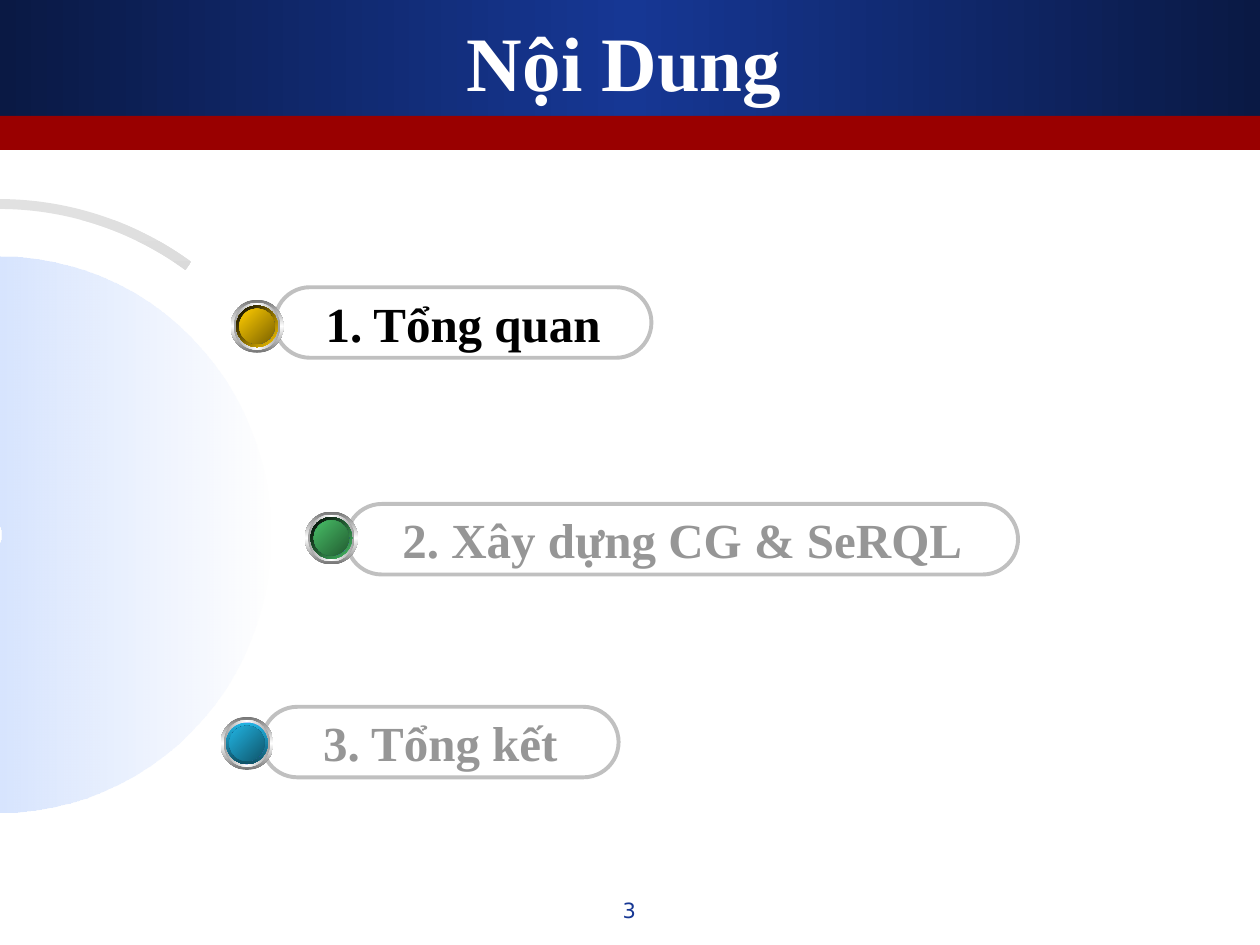
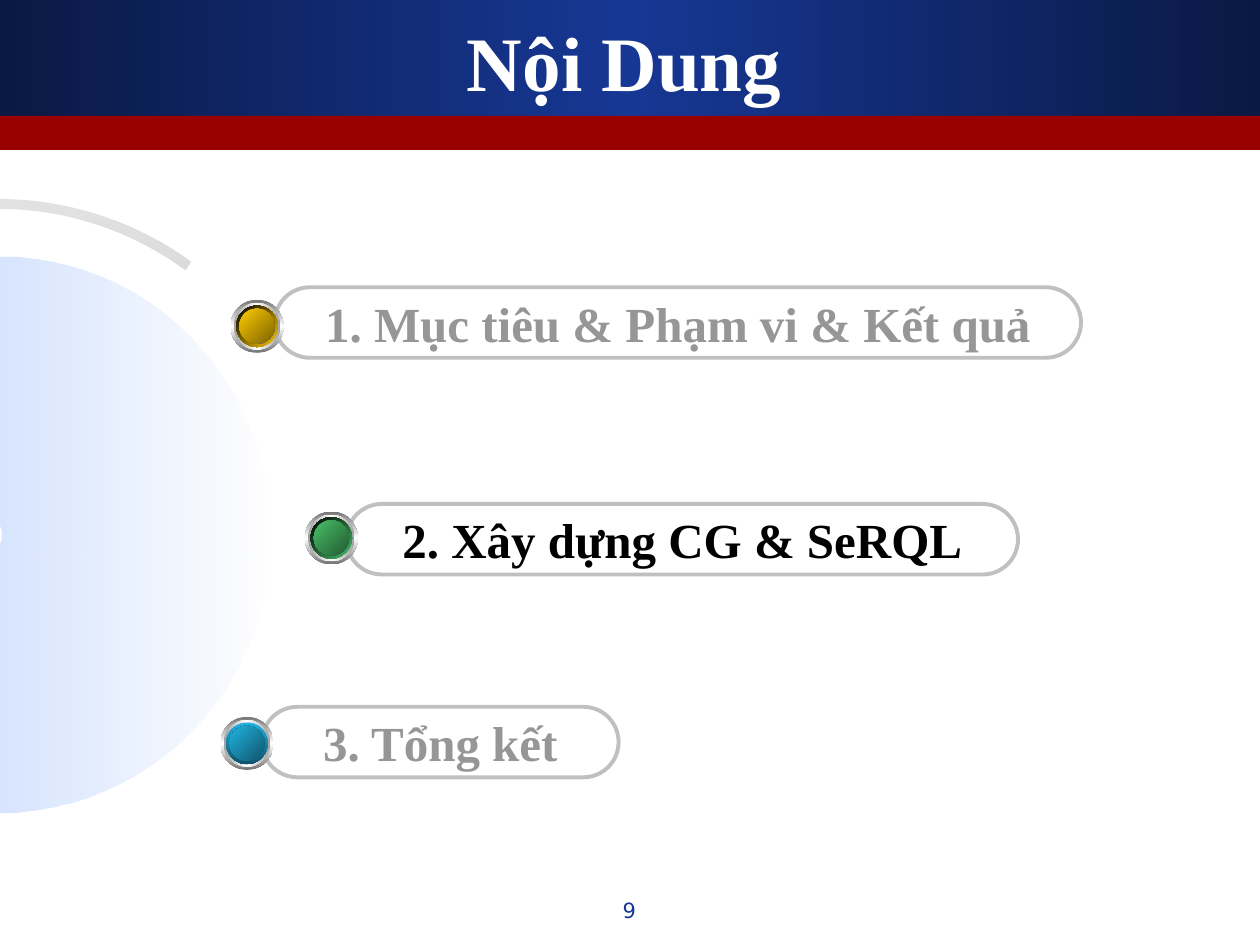
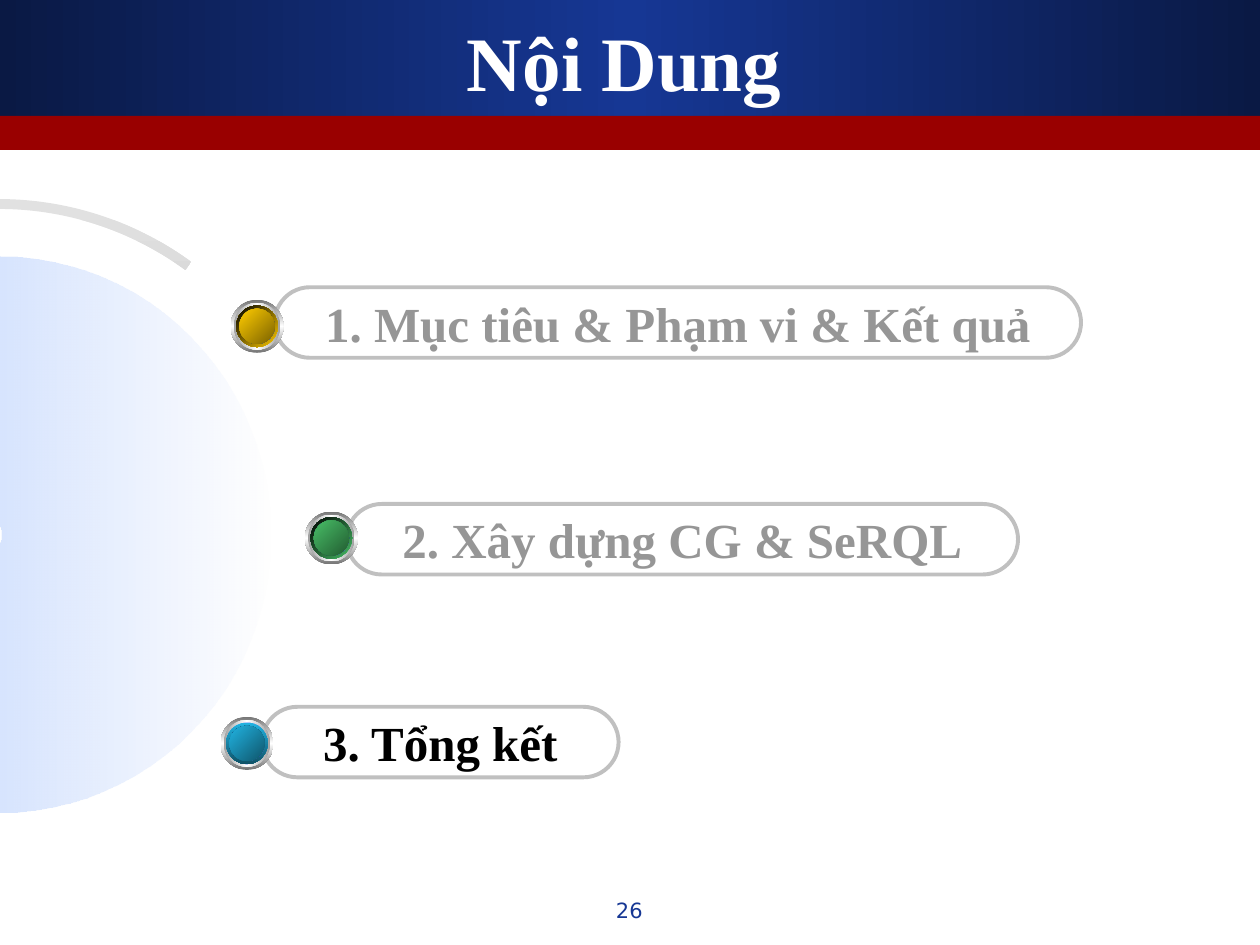
from dataclasses import dataclass

from pptx import Presentation
from pptx.dml.color import RGBColor
from pptx.enum.shapes import MSO_SHAPE as Shape
from pptx.enum.text import MSO_ANCHOR as Anchor, PP_ALIGN as Align
from pptx.oxml import parse_xml
from pptx.oxml.ns import nsdecls, qn
from pptx.util import Inches, Pt


@dataclass(frozen=True)
class Theme:
    heading_font: str = "Times New Roman"
    number_font: str = "DejaVu Sans"
    title_size: int = 44
    topic_size: int = 28
    number_size: int = 12
    white: str = "FFFFFF"
    navy: str = "163794"
    dark_navy: str = "0A1944"
    red: str = "990000"
    outline: str = "C0C0C0"
    arc_end: str = "E1E1E1"
    sky: str = "6699FF"
    deep_sky: str = "365289"
    pale: str = "FEFEFE"
    bezel: str = "757575"
    inner_bezel: str = "A1A1A1"
    active: str = "000000"
    inactive: str = "969696"


@dataclass(frozen=True)
class Topic:
    left: float
    top: float
    center: tuple
    rim: tuple
    rim_angle: int
    core: tuple


TOPICS = (
    Topic(2.18, 2.28, (2.04, 2.59), ("FFCC00", "000000"), 225, ("7B6200", "FFCC00")),
    Topic(2.75, 4.00, (2.63, 4.27), ("48BE67", "000000"), 225, ("225C31", "48BE67")),
    Topic(2.08, 5.61, (1.96, 5.90), ("21B3E1", "0F5267"), 90, ("0F566C", "21B3E1")),
)
GOALS = ("1. Mục tiêu & Phạm vi & Kết quả", 6.4)
BUILDING = ("2. Xây dựng CG & SeRQL", 5.33)
SUMMARY = ("3. Tổng kết", 2.83)
OVERVIEW = ("Tổng quan", 2.99)

AGENDAS = (
    (3, 0, (OVERVIEW, BUILDING, SUMMARY)),
    (9, 1, (GOALS, BUILDING, SUMMARY)),
    (26, 2, (GOALS, BUILDING, SUMMARY)),
)


class Deck:
    def __init__(self, theme):
        self.theme = theme
        self.presentation = Presentation()
        self.presentation.slide_width = Inches(10)
        self.presentation.slide_height = Inches(7.5)
        self.slide = None

    def add_slide(self):
        blank = self.presentation.slide_layouts[6]
        self.slide = self.presentation.slides.add_slide(blank)

    def shape(self, kind, box, fill=None, angle=0, parent=None):
        owner = parent or self.slide
        shape = owner.shapes.add_shape(kind, *map(Inches, box))
        shape.shadow.inherit = False
        shape.line.fill.background()
        if isinstance(fill, str):
            shape.fill.solid()
            shape.fill.fore_color.rgb = RGBColor.from_string(fill)
        else:
            shape.fill.background()
            if fill:
                self.gradient(shape, fill, angle)
        return shape

    def gradient(self, shape, colors, angle):
        stops = ""
        for index, color in enumerate(colors):
            value, alpha = color if isinstance(color, tuple) else (color, 100)
            position = 100000 * index // (len(colors) - 1)
            stops += (
                f'<a:gs pos="{position}"><a:srgbClr val="{value}">'
                f'<a:alpha val="{alpha * 1000}"/></a:srgbClr></a:gs>'
            )
        properties = shape.element.spPr
        properties.replace(properties.find(qn("a:noFill")), parse_xml(
            f'<a:gradFill {nsdecls("a")} rotWithShape="0"><a:gsLst>{stops}</a:gsLst>'
            f'<a:lin ang="{angle * 60000}" scaled="1"/></a:gradFill>'
        ))

    def arc(self, box, adjustments, colors, angle, flipped=False):
        arc = self.shape(Shape.BLOCK_ARC, box, colors, angle)
        arc.rotation = 90
        start, end, thickness = adjustments
        for index, value in enumerate((start * 0.6, end * 0.6, thickness)):
            arc.adjustments[index] = value
        if flipped:
            arc.element.spPr.find(qn("a:xfrm")).set("flipH", "1")

    def label(self, holder, text, anchor=Anchor.MIDDLE, wrap=True, **font):
        frame = holder.text_frame
        frame.word_wrap = wrap
        frame.vertical_anchor = anchor
        paragraph = frame.paragraphs[0]
        paragraph.alignment = Align.CENTER
        run = paragraph.add_run()
        run.text = text
        run.font.color.rgb = RGBColor.from_string(font.pop("color"))
        run.font.size = Pt(font.pop("size"))
        for name, value in font.items():
            setattr(run.font, name, value)
        return paragraph

    def text(self, box, text, **style):
        holder = self.slide.shapes.add_textbox(*map(Inches, box))
        self.label(holder, text, **style)

    def header(self, title):
        theme = self.theme
        self.shape(Shape.RECTANGLE, (0, 0, 10, 0.92),
                   (theme.dark_navy, theme.navy, theme.dark_navy), 180)
        self.shape(Shape.RECTANGLE, (0, 0.92, 10, 0.27), theme.red)
        self.text((0.33, 0.17, 9.25, 0.62), title, name=theme.heading_font,
                  size=theme.title_size, color=theme.white, bold=True)

    def dial(self):
        theme = self.theme
        self.arc((-2.65, 1.61, 5.28, 5.22), (108.52, 215.48, 0.015),
                 (theme.arc_end, theme.outline, theme.arc_end), 90)
        self.arc((-2.21, 2.09, 4.41, 4.3), (108, 0, 0.497),
                 ((theme.sky, 56), (theme.pale, 48)), 180, flipped=True)

    def pill(self, topic, title, width, active):
        theme = self.theme
        pill = self.shape(Shape.ROUNDED_RECTANGLE, (topic.left, topic.top, width, 0.56))
        pill.adjustments[0] = 0.5
        pill.line.color.rgb = RGBColor.from_string(theme.outline)
        pill.line.width = Pt(2.25)
        return self.label(pill, title, wrap=False, name=theme.heading_font,
                          size=theme.topic_size, bold=True,
                          color=theme.active if active else theme.inactive)

    def number(self, paragraph):
        properties = paragraph._p.get_or_add_pPr()
        properties.set("marL", str(Inches(0.38)))
        properties.set("indent", str(Inches(-0.38)))
        for bullet in (
            f'<a:buClr {nsdecls("a")}><a:srgbClr val="{self.theme.active}"/></a:buClr>',
            f'<a:buFontTx {nsdecls("a")}/>',
            f'<a:buAutoNum {nsdecls("a")} type="arabicPeriod"/>',
        ):
            properties.append(parse_xml(bullet))

    def marker(self, topic):
        theme = self.theme
        rings = (
            (0.42, (theme.bezel, theme.white, theme.bezel), 90),
            (0.37, (theme.inner_bezel, theme.white, theme.inner_bezel), 180),
            (0.33, (theme.pale, theme.sky, theme.pale), 225),
            (0.33, topic.rim, topic.rim_angle),
            (0.28, (theme.deep_sky, theme.sky, theme.deep_sky), 135),
            (0.28, topic.core, 225),
        )
        group = self.slide.shapes.add_group_shape()
        x, y = topic.center
        for size, colors, angle in rings:
            box = (x - size / 2, y - size / 2, size, size)
            self.shape(Shape.OVAL, box, colors, angle, group)

    def page_number(self, page):
        theme = self.theme
        self.text((3.83, 7.07, 2.33, 0.35), str(page), anchor=Anchor.TOP,
                  name=theme.number_font, size=theme.number_size, color=theme.navy)

    def agenda(self, page, current, entries):
        self.add_slide()
        self.header("Nội Dung")
        self.dial()
        for index in reversed(range(len(TOPICS))):
            paragraph = self.pill(TOPICS[index], *entries[index], index == current)
            if entries[index] == OVERVIEW:
                self.number(paragraph)
        for topic in TOPICS:
            self.marker(topic)
        self.page_number(page)


def main():
    deck = Deck(Theme())
    for agenda in AGENDAS:
        deck.agenda(*agenda)
    deck.presentation.save("out.pptx")


if __name__ == "__main__":
    main()
